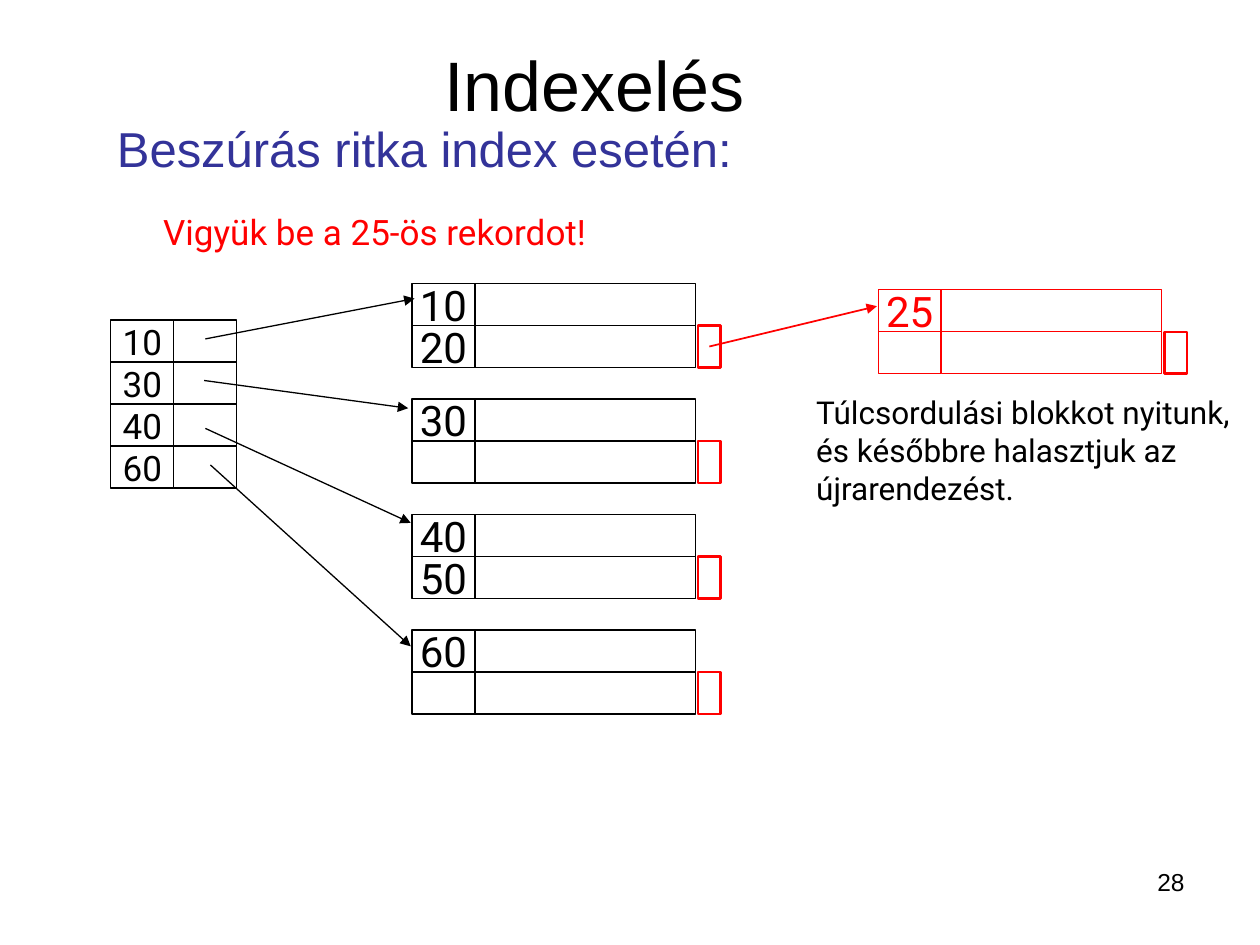
from pptx import Presentation
from pptx.dml.color import RGBColor
from pptx.enum.shapes import MSO_CONNECTOR, MSO_SHAPE
from pptx.enum.text import MSO_ANCHOR, PP_ALIGN
from pptx.oxml.ns import qn
from pptx.util import Inches, Pt
from lxml import etree

RECTANGLE = MSO_SHAPE.RECTANGLE
STRAIGHT = MSO_CONNECTOR.STRAIGHT
TOP, MIDDLE = MSO_ANCHOR.TOP, MSO_ANCHOR.MIDDLE
LEFT, CENTER, RIGHT = PP_ALIGN.LEFT, PP_ALIGN.CENTER, PP_ALIGN.RIGHT
BLACK, WHITE, RED, BLUE = "000000", "FFFFFF", "FF0000", "333399"
ROW = 1 / 3
KEY_WIDTH, DATA_WIDTH, OVERFLOW_WIDTH = 0.5, 1.75, 0.18

prs = Presentation()
prs.slide_width, prs.slide_height = Inches(10), Inches(7.5)
slide = prs.slides.add_slide(prs.slide_layouts[6])


def write(shape, lines, size, font, color, align=LEFT, anchor=MIDDLE, wrap=False):
    """Fill a shape with one paragraph per line and return its first paragraph."""
    frame = shape.text_frame
    frame.word_wrap, frame.vertical_anchor = wrap, anchor
    for number, line in enumerate(lines):
        paragraph = frame.add_paragraph() if number else frame.paragraphs[0]
        paragraph.alignment = align
        run = paragraph.add_run()
        run.text = line
        run.font.size, run.font.name = Pt(size), font
        run.font.color.rgb = RGBColor.from_string(color)
    return frame.paragraphs[0]


def cell(left, top, width, color=BLACK, weight=0.74, key="", size=24):
    """Draw one white record cell, with its key when there is one."""
    box = slide.shapes.add_shape(RECTANGLE, Inches(left), Inches(top), Inches(width), Inches(ROW))
    box.shadow.inherit = False
    box.fill.solid()
    box.fill.fore_color.rgb = RGBColor.from_string(WHITE)
    box.line.color.rgb = RGBColor.from_string(color)
    box.line.width = Pt(weight)
    if key:
        write(box, [key], size, "Roboto", color, CENTER)


# Data blocks and the overflow block: left, top, keys, colour
blocks = [(3.27, 2.25 + number * 11 / 12, keys, BLACK) for number, keys in enumerate(
    [("10", "20"), ("30", ""), ("40", "50"), ("60", "")])]
blocks.append((6.97, 2.3, ("25", ""), RED))
for left, top, keys, color in blocks:
    for row, key in enumerate(keys):
        cell(left, top + row * ROW, KEY_WIDTH, color, key=key)
        cell(left + KEY_WIDTH, top + row * ROW, DATA_WIDTH, color)
    cell(left + KEY_WIDTH + DATA_WIDTH + 0.02, top + ROW, OVERFLOW_WIDTH, RED, 1.5)

# Sparse index
for row, key in enumerate(["10", "30", "40", "60"]):
    cell(0.88, 2.54 + row * ROW, KEY_WIDTH, key=key, size=20)
    cell(0.88 + KEY_WIDTH, 2.54 + row * ROW, KEY_WIDTH)

# Pointers from index entries to blocks, then to the overflow block
for x1, y1, x2, y2, color, weight in [
    (1.63, 2.69, 3.29, 2.37, BLACK, 0.74),
    (1.62, 3.02, 3.24, 3.24, BLACK, 0.74),
    (1.63, 3.4, 3.26, 4.15, BLACK, 0.74),
    (1.67, 3.69, 3.26, 5.13, BLACK, 0.74),
    (5.63, 2.75, 6.96, 2.43, RED, 0.99),
]:
    pointer = slide.shapes.add_connector(STRAIGHT, Inches(x1), Inches(y1), Inches(x2), Inches(y2))
    pointer.line.color.rgb = RGBColor.from_string(color)
    pointer.line.width = Pt(weight)
    etree.SubElement(pointer.line._get_or_add_ln(), qn("a:tailEnd"), type="triangle")
    etree.SubElement(pointer._element.spPr, qn("a:effectLst"))

# Texts
overflow_note = slide.shapes.add_textbox(Inches(6.38), Inches(3.07), Inches(3.7), Inches(1))
write(overflow_note, ["Túlcsordulási blokkot nyitunk,", "és későbbre halasztjuk az", "újrarendezést."],
      18, "Roboto", BLACK)

subtitle = slide.shapes.add_textbox(Inches(0.83), Inches(0.76), Inches(8.5), Inches(0.83))
write(subtitle, ["Beszúrás ritka index esetén:"], 28, "Arial", BLUE, wrap=True)

task = slide.shapes.add_textbox(Inches(0.59), Inches(1.62), Inches(4.27), Inches(0.44))
task_line = write(task, ["Vigyük be a 25-ös rekordot!"], 20, "Roboto", RED, CENTER)
task_line.level = 1
task_line._p.get_or_add_pPr().set("marL", str(Inches(0.5)))

title = slide.shapes.add_textbox(Inches(3.43), Inches(0.28), Inches(3.23), Inches(0.77))
title_line = write(title, ["Indexelés"], 40, "Arial", BLACK, anchor=TOP, wrap=True)
title_line.space_before = Pt(25)

page_number = slide.shapes.add_textbox(Inches(7.17), Inches(6.83), Inches(2.33), Inches(0.52))
write(page_number, ["28"], 14, "Arial", BLACK, RIGHT, TOP, True)

prs.save("out.pptx")
